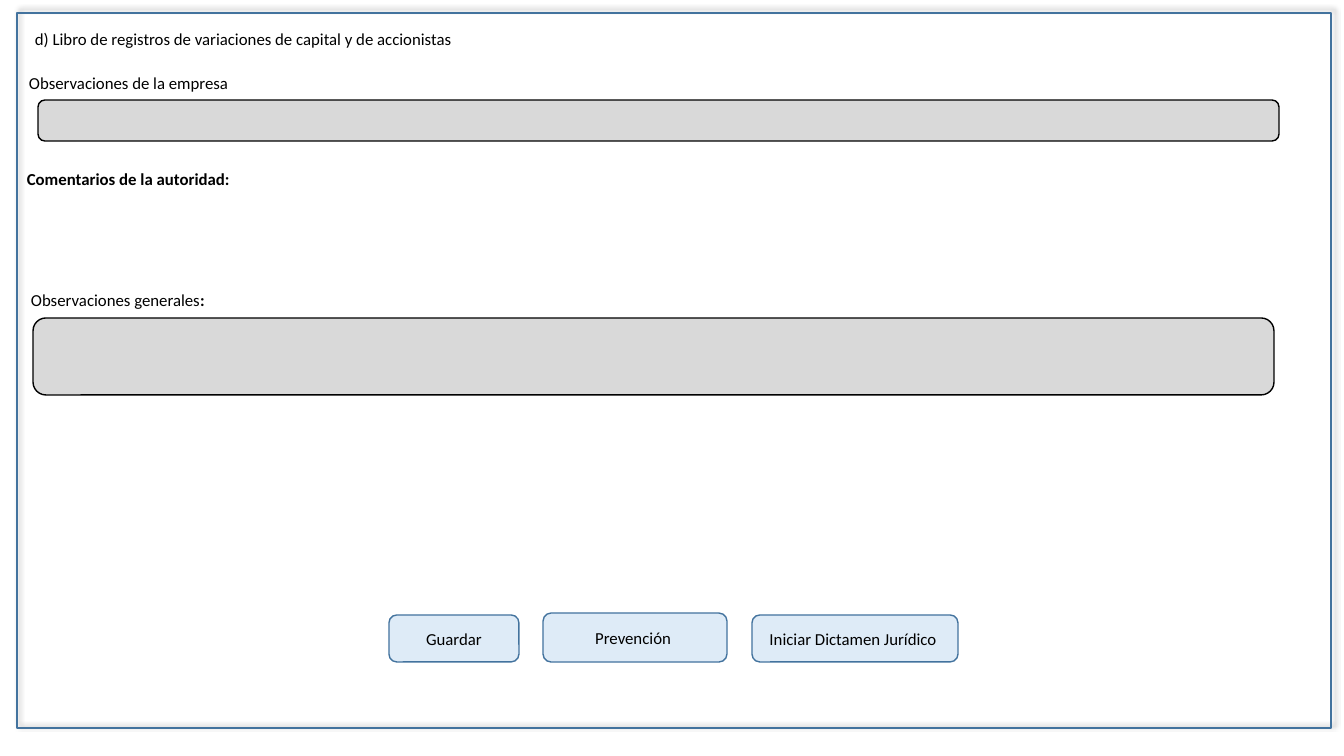
import pptx
import pptx.dml.color
import pptx.enum.shapes
import pptx.enum.text
import pptx.oxml.ns
import pptx.util
import lxml.etree

RGBColor = pptx.dml.color.RGBColor
MSO_SHAPE = pptx.enum.shapes.MSO_SHAPE
qn = pptx.oxml.ns.qn
BLUE = RGBColor(0x43, 0x73, 0x9E)
PALE_BLUE = RGBColor(0xDE, 0xEB, 0xF7)
GREY = RGBColor(0xD9, 0xD9, 0xD9)
BLACK = RGBColor(0, 0, 0)

PX_PER_INCH = 100.8
FIELD_WIDTH = 1241
LABEL_HEIGHT = 30


def px(n):
    return pptx.util.Emu(round(n * 914400 / PX_PER_INCH))


class Form:
    font = "Calibri"
    size = pptx.util.Pt(12)
    line_width = pptx.util.Pt(1)

    def __init__(self, slide):
        self.s = slide

    def add_runs(self, p, runs):
        """Add (text, bold) runs to a paragraph."""
        for text, bold in runs:
            r = p.add_run()
            r.text = text
            r.font.name = self.font
            r.font.size = self.size
            r.font.bold = bold
            r.font.color.rgb = BLACK

    def box(self, kind, x, y, w, h, line, fill=None):
        sp = self.s.shapes.add_shape(kind, px(x), px(y), px(w), px(h))
        sp.shadow.inherit = False
        sp.line.color.rgb = line
        sp.line.width = self.line_width
        if fill is None:
            sp.fill.background()
        else:
            sp.fill.solid()
            sp.fill.fore_color.rgb = fill
        return sp

    def frame(self, x, y, w, h):
        """Unfilled outline with a soft shadow towards the upper right."""
        sp = self.box(MSO_SHAPE.RECTANGLE, x, y, w, h, BLUE)
        effects = sp.element.spPr.find(qn("a:effectLst"))
        shadow = lxml.etree.SubElement(
            effects, qn("a:outerShdw"), blurRad="50800", dist="38100",
            dir="18900000", algn="bl", rotWithShape="0")
        color = lxml.etree.SubElement(shadow, qn("a:srgbClr"), val=str(BLACK))
        lxml.etree.SubElement(color, qn("a:alpha"), val="40000")

    def button(self, x, y, w, h, text):
        sp = self.box(MSO_SHAPE.ROUNDED_RECTANGLE, x, y, w, h, BLUE, PALE_BLUE)
        tf = sp.text_frame
        tf.word_wrap = True
        tf.vertical_anchor = pptx.enum.text.MSO_ANCHOR.MIDDLE
        p = tf.paragraphs[0]
        p.alignment = pptx.enum.text.PP_ALIGN.CENTER
        self.add_runs(p, [(text, False)])

    def field(self, x, y, h):
        self.box(MSO_SHAPE.ROUNDED_RECTANGLE, x, y, FIELD_WIDTH, h, BLACK, GREY)

    def label(self, x, y, w, *runs):
        sp = self.s.shapes.add_textbox(px(x), px(y), px(w), px(LABEL_HEIGHT))
        tf = sp.text_frame
        tf.word_wrap = True
        tf.auto_size = pptx.enum.text.MSO_AUTO_SIZE.SHAPE_TO_FIT_TEXT
        self.add_runs(tf.paragraphs[0], runs)


def main():
    prs = pptx.Presentation()
    prs.slide_width, prs.slide_height = px(1344), px(756)
    form = Form(prs.slides.add_slide(prs.slide_layouts[6]))

    form.frame(17, 13, 1314, 715)
    for x, y, w, h, text in (
        (389, 615, 130, 47, "Guardar"),
        (543, 613, 184, 49, "Prevención "),
        (752, 615, 206, 47, "Iniciar Dictamen Jurídico "),
    ):
        form.button(x, y, w, h, text)

    form.label(25, 24, 618, (
        "d) Libro de registros de variaciones de capital y de accionistas", False))
    form.field(38, 100, 41)
    form.label(19, 68, 403, ("Observaciones de la empresa", False))
    form.label(17, 164, 279, ("Comentarios de la autoridad:", True))
    form.label(21, 285, 393, ("Observaciones generales", False), (":", True))
    form.field(33, 318, 77)

    prs.save("out.pptx")


if __name__ == "__main__":
    main()
